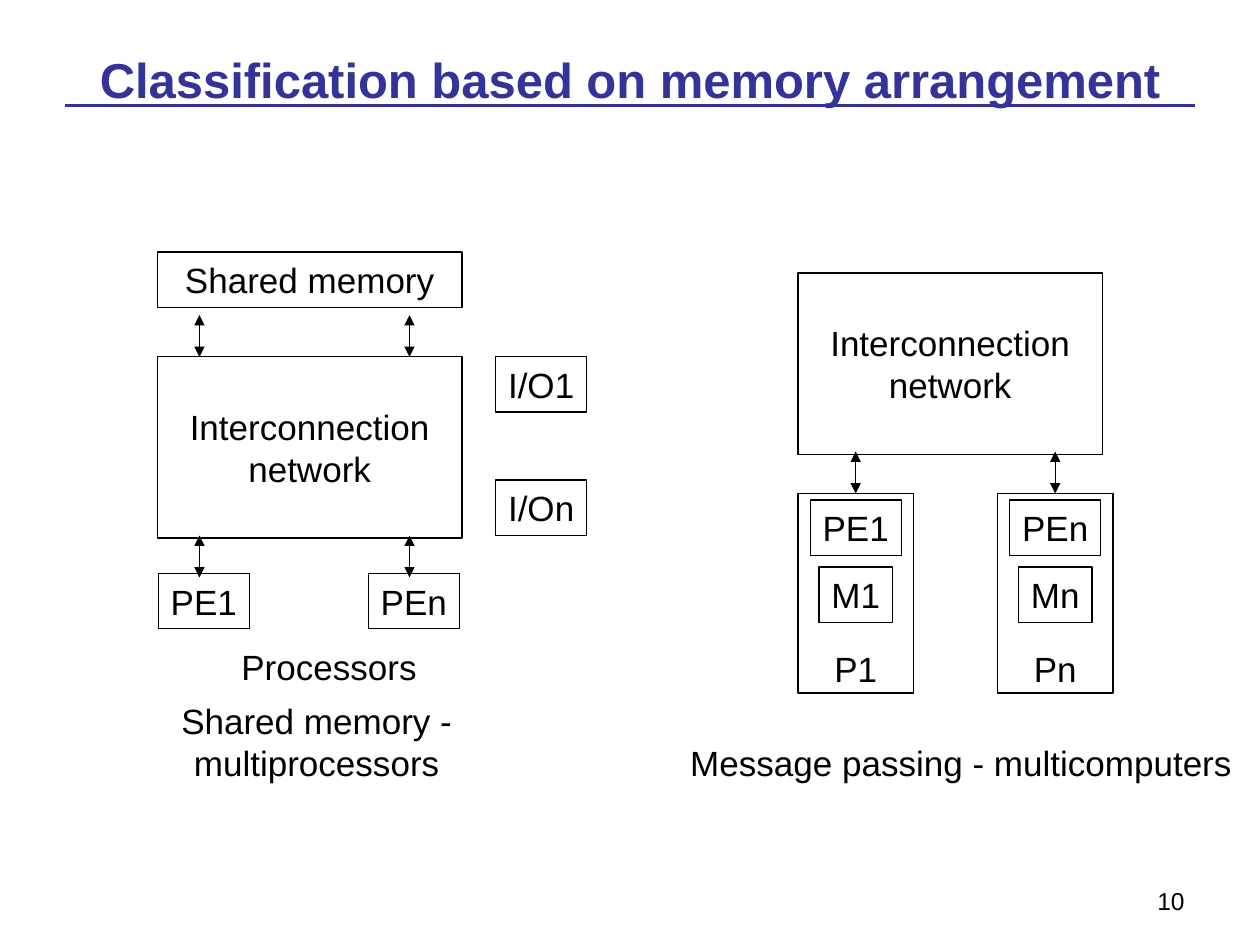
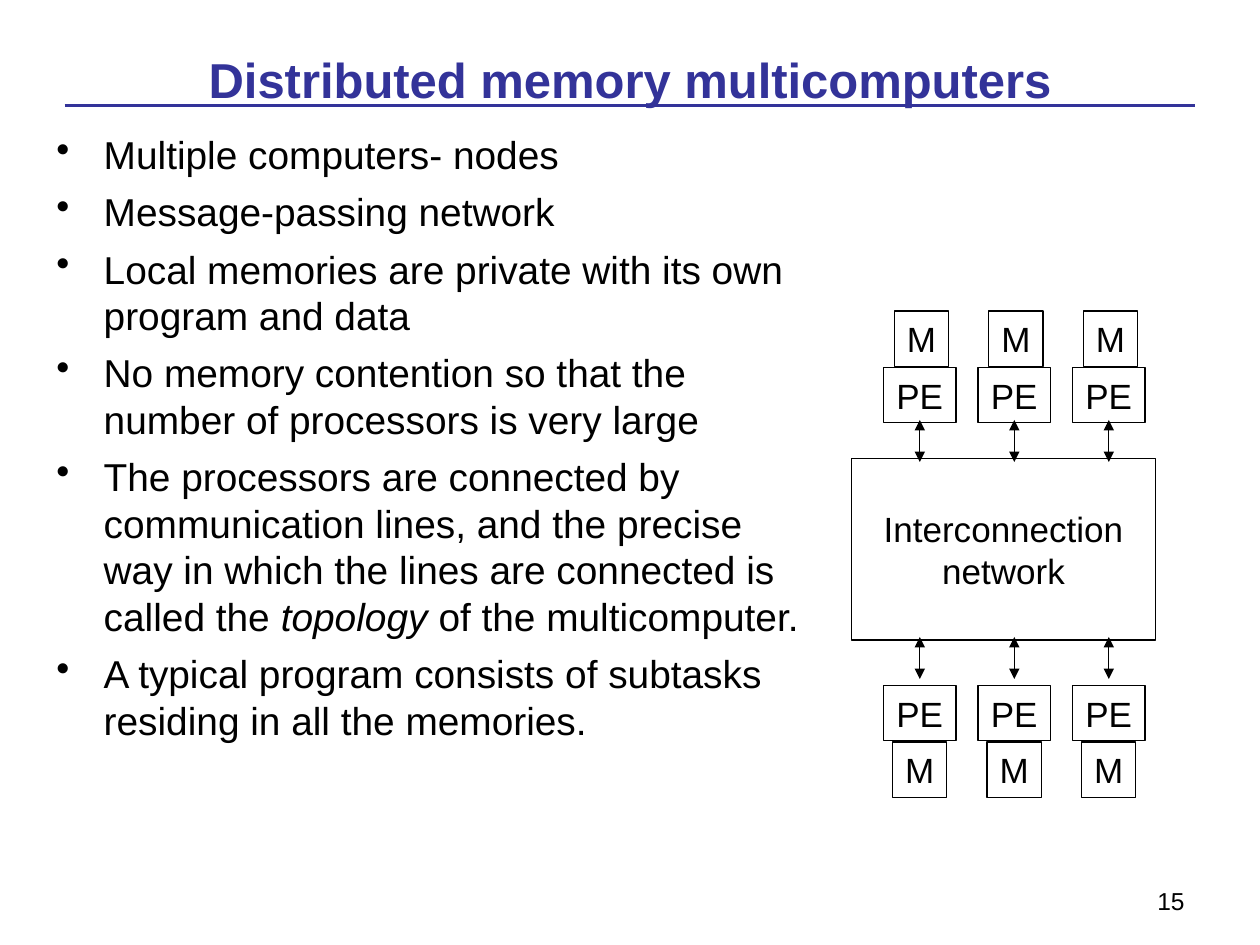
from dataclasses import dataclass

from lxml import etree
from pptx import Presentation
from pptx import util as u
from pptx.dml.color import RGBColor
from pptx.enum import shapes, text
from pptx.oxml import ns

Pt = u.Pt


@dataclass(frozen=True)
class Theme:
    font: str = "Arial"
    ink: RGBColor = RGBColor(0, 0, 0)
    accent: RGBColor = RGBColor(0x33, 0x33, 0x99)
    title_size: float = 28
    body_size: float = 22.2
    label_size: float = 20
    number_size: float = 14
    outline: float = 0.75
    rule: float = 2.25


THEME = Theme()
LABEL_HEIGHT = 31.7
NETWORK_WIDTH, NETWORK_HEIGHT = 174, 103.7
ARROW_LENGTH = 24

POINTS = [
    ["Multiple computers- nodes"],
    ["Message-passing network"],
    ["Local memories are private with its own program and data"],
    ["No memory contention so that the number of processors is very large"],
    ["The processors are connected by communication lines, and the precise way "
     "in which the lines are connected is called the ", "topology ", "of the multicomputer."],
    ["A typical program consists of subtasks residing in all the memories."],
]


def style(para, size, color=THEME.ink, align=text.PP_ALIGN.CENTER, bold=False):
    para.alignment = align
    para.font.name = THEME.font
    para.font.size = Pt(size)
    para.font.bold = bold
    para.font.color.rgb = color


def add_line(slide, x1, y1, x2, y2, color, width):
    line = slide.shapes.add_connector(
        shapes.MSO_CONNECTOR.STRAIGHT, Pt(x1), Pt(y1), Pt(x2), Pt(y2))
    line.line.color.rgb = color
    line.line.width = Pt(width)
    etree.SubElement(line._element.spPr, ns.qn("a:effectLst"))
    return line


def add_double_arrow(slide, x, top):
    arrow = add_line(slide, x, top + ARROW_LENGTH, x, top, THEME.ink, THEME.outline)
    outline = arrow.line._get_or_add_ln()
    for end in ("a:headEnd", "a:tailEnd"):
        etree.SubElement(outline, ns.qn(end), type="triangle")


def add_frame(slide, left, top, width, height):
    frame = slide.shapes.add_shape(
        shapes.MSO_SHAPE.RECTANGLE, Pt(left), Pt(top), Pt(width), Pt(height))
    frame.shadow.inherit = False
    frame.fill.background()
    frame.line.color.rgb = THEME.ink
    frame.line.width = Pt(THEME.outline)
    return frame


def write_label(box, label, wrap=False):
    frame = box.text_frame
    frame.word_wrap = wrap
    frame.vertical_anchor = text.MSO_ANCHOR.MIDDLE
    frame.text = label
    style(frame.paragraphs[0], THEME.label_size)


def add_box(slide, label, center, top, width, height=LABEL_HEIGHT):
    write_label(add_frame(slide, center - width / 2, top, width, height), label)


def add_caption(slide, label, center, top, width):
    box = slide.shapes.add_textbox(
        Pt(center - width / 2), Pt(top), Pt(width), Pt(LABEL_HEIGHT))
    write_label(box, label)


def add_network(slide, center, top):
    add_box(slide, "Interconnection\vnetwork", center, top, NETWORK_WIDTH, NETWORK_HEIGHT)


def add_bullets(slide, points):
    """Add bulleted points; every second span of a point is italic."""
    box = slide.shapes.add_textbox(Pt(25.2), Pt(71.3), Pt(439.2), Pt(360))
    frame = box.text_frame
    frame.word_wrap = True
    for index, spans in enumerate(points):
        para = frame.add_paragraph() if index else frame.paragraphs[0]
        style(para, THEME.body_size, align=text.PP_ALIGN.LEFT)
        para.space_before = Pt(6)
        props = para._p.get_or_add_pPr()
        props.set("marL", str(Pt(27)))
        props.set("indent", str(Pt(-27)))
        bullet = etree.Element(ns.qn("a:buChar"), char="•")
        props.find(ns.qn("a:defRPr")).addprevious(bullet)
        for position, words in enumerate(spans):
            span = para.add_run()
            span.text = words
            if position % 2:
                span.font.italic = True


def add_titled_slide(deck, title, number):
    slide = deck.slides.add_slide(deck.slide_layouts.get_by_name("Title Only"))
    add_line(slide, 36.9, 60.3, 683.1, 60.3, THEME.accent, THEME.rule)

    heading = slide.shapes.title
    heading.left, heading.top, heading.width, heading.height = Pt(36), Pt(0), Pt(648), Pt(90)
    heading.text_frame.text = title
    heading.text_frame.vertical_anchor = text.MSO_ANCHOR.MIDDLE
    style(heading.text_frame.paragraphs[0], THEME.title_size, THEME.accent, bold=True)

    box = slide.shapes.add_textbox(Pt(516), Pt(502.5), Pt(168), Pt(26.6))
    box.text_frame.word_wrap = True
    box.text_frame.text = str(number)
    style(box.text_frame.paragraphs[0], THEME.number_size, align=text.PP_ALIGN.RIGHT)
    return slide


def draw_shared_memory(slide):
    center = 177
    add_box(slide, "Shared memory", center, 144, NETWORK_WIDTH)
    add_network(slide, center, 203.8)
    for x, processor in ((114, "PE1"), (234, "PEn")):
        add_box(slide, processor, x + 2.5, 327.6, 52)
        for top in (180, 306):
            add_double_arrow(slide, x, top)
    for top, device in ((203.8, "I/O1"), (274.3, "I/On")):
        add_box(slide, device, 309.3, top, 52)
    add_caption(slide, "Processors", 188, 365, 114.5)
    add_caption(slide, "Shared memory - multiprocessors", 181, 408, 314.6)


def draw_message_passing(slide):
    add_network(slide, 543, 156)
    for center, suffix in ((489, "1"), (603, "n")):
        add_frame(slide, center - 33, 282, 66, 114)
        add_box(slide, f"PE{suffix}", center, 285.8, 52)
        add_box(slide, f"M{suffix}", center, 324, 42)
        add_caption(slide, f"P{suffix}", center, 366, 39)
        add_double_arrow(slide, center, 258)
    add_caption(slide, "Message passing - multicomputers", 549.2, 420, 324)


def draw_multicomputer(slide):
    add_network(slide, 573.5, 262)
    for column in range(3):
        center = 525.6 + 54 * column
        add_box(slide, "M", center + 1, 177.8, 31)
        add_box(slide, "PE", center, 210, 41.5)
        add_double_arrow(slide, center, 240)
        add_double_arrow(slide, center, 364)
        add_box(slide, "PE", center, 391.7, 41.5)
        add_box(slide, "M", center, 424, 31)


def main():
    deck = Presentation()
    deck.slide_width, deck.slide_height = Pt(720), Pt(540)

    arrangement = add_titled_slide(deck, "Classification based on memory arrangement", 10)
    draw_shared_memory(arrangement)
    draw_message_passing(arrangement)

    distributed = add_titled_slide(deck, "Distributed memory multicomputers", 15)
    add_bullets(distributed, POINTS)
    draw_multicomputer(distributed)

    deck.save("out.pptx")


if __name__ == "__main__":
    main()
